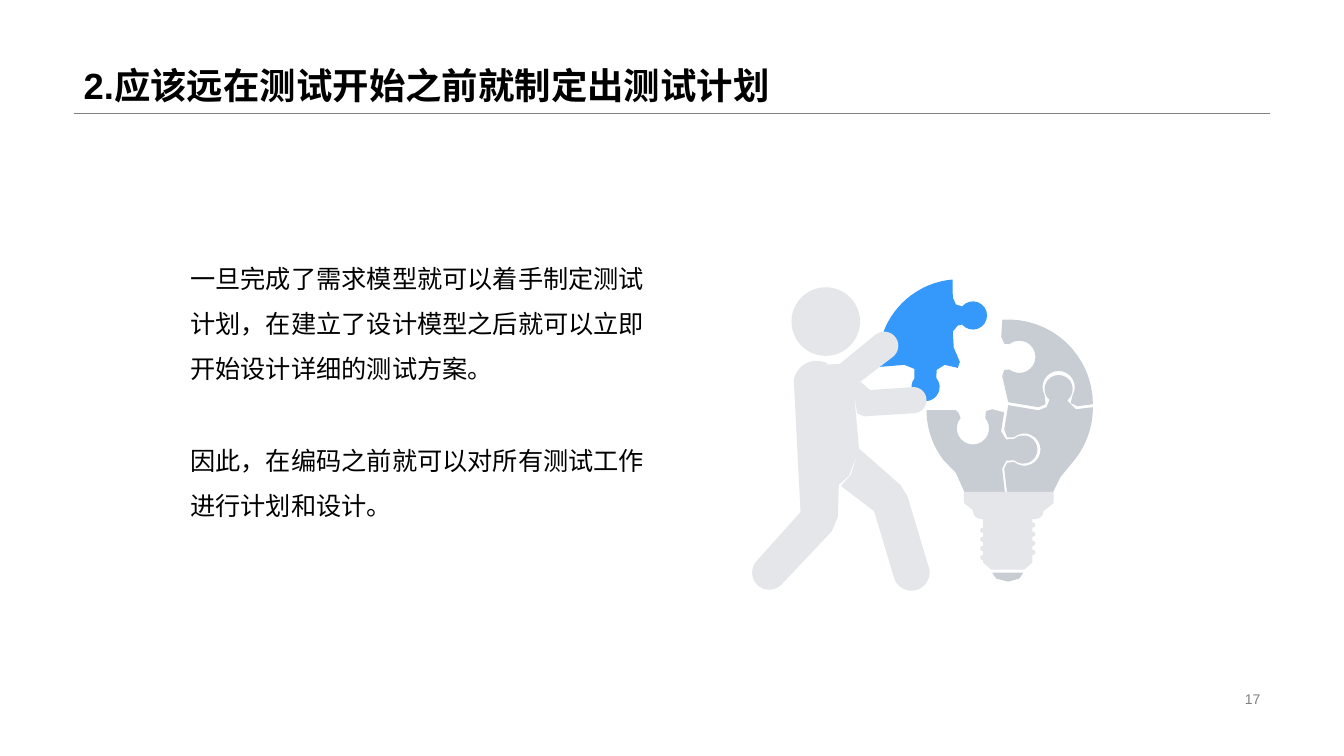
from math import cos, radians, sin

from lxml.etree import SubElement
from pptx import Presentation
from pptx.dml.color import RGBColor
from pptx.enum.shapes import MSO_CONNECTOR, MSO_SHAPE
from pptx.enum.text import MSO_ANCHOR, MSO_AUTO_SIZE, PP_ALIGN
from pptx.oxml.ns import qn
from pptx.util import Inches, Pt

COLORS = {"black": "000000", "rule": "808080", "blue": "3598FB",
          "light": "E4E6EA", "grey": "C8CDD4"}
FONT = "Arial"
KNOB, HOLE = 0.14, 0.16  # radii of the puzzle joints
BULB = 0.84
ARC_STEPS = 16

# Outlines in inches: a pair is a corner, five numbers are an arc
# (centre x, centre y, radius, start angle, end angle; clockwise from the right).
BLUE_PIECE = [
    (9.52, 3.58, 0.81, -95, -159), (8.89, 3.4), (8.87, 3.52), (8.72, 3.64), (8.97, 3.62),
    (9.07, 3.66), (9.07, 3.75), (9.18, 3.84, KNOB, -140, -400), (9.29, 3.67), (9.37, 3.62),
    (9.5, 3.65), (9.52, 3.59), (9.46, 3.45), (9.45, 3.29), (9.5, 3.23),
    (9.65, 3.13, KNOB, 140, -140), (9.48, 3.02), (9.45, 2.95)]
TOP_RIGHT_PIECE = [
    (10, 4.01, BULB, -94, 0), (10.69, 4.03), (10.62, 4), (10.5, 3.84, HOLE, 30, -210),
    (10.37, 4.01), (10.3, 4.04), (10, 3.99), (9.94, 3.73), (9.96, 3.67),
    (10.11, 3.54, HOLE, 128, -128), (9.96, 3.41), (9.93, 3.34)]
BOTTOM_LEFT_PIECE = [
    (9.48, 4.07), (9.51, 4.1), (9.65, 4.25, HOLE, -140, -400), (9.78, 4.08), (9.84, 4.06),
    (9.96, 4.09), (9.93, 4.28), (9.98, 4.36), (10.15, 4.46, KNOB, -130, 130), (9.98, 4.57),
    (9.94, 4.65), (9.97, 4.91), (9.57, 4.89), (9.48, 4.69), (10, 4.07, 0.81, 142, 180)]
BOTTOM_RIGHT_PIECE = [
    (10, 4.02), (9.96, 4.26), (9.99, 4.34), (10.16, 4.46, HOLE, -130, 130), (9.99, 4.59),
    (9.96, 4.65), (9.99, 4.9), (10.44, 4.89), (10.52, 4.73), (10, 4.04, BULB, 38, 0),
    (10.67, 4.06), (10.59, 3.98), (10.5, 3.86, KNOB, 50, -230), (10.38, 4.04), (10.3, 4.07)]
BODY = [
    (8.33, 3.61), (8.77, 3.43, 0.14, -125, 55), (8.49, 3.82), (8.54, 3.79), (8.63, 3.87),
    (9.06, 3.97, 0.13, -90, 90), (8.57, 4.13), (8.5, 4.1), (8.47, 3.89), (8.52, 4.45),
    (8.93, 4.81), (9, 4.92), (9.04, 5.68, 0.18, -15, 165), (8.67, 5.07), (8.34, 4.82),
    (8.44, 4.71), (8.51, 4.49), (8.42, 4.72), (8.32, 4.81), (8.31, 5.13), (8.25, 5.27),
    (7.63, 5.68, 0.17, 45, 225), (7.94, 5.08), (8.1, 3.81, 0.23, 190, 300), (8.15, 3.62)]
SOCKET = [(9.75, 5.07), (9.75, 5.58), (9.83, 5.65), (10.16, 5.65), (10.24, 5.58), (10.24, 5.07)]
COLLAR = [(9.56, 4.88), (10.45, 4.88), (10.45, 4.99), (10.35, 5.07), (9.66, 5.07), (9.56, 4.99)]
TIP = [(9.84, 5.68), (9.88, 5.74), (10, 5.53, 0.24, 62, 118), (10.11, 5.74), (10.15, 5.68)]
TIP = [TIP[0], TIP[1], (10, 5.77), TIP[3], TIP[4]]


def flatten(outline):
    """Return the outline as points in EMU, with each arc cut into short steps."""
    points = []
    for step in outline:
        if len(step) == 2:
            points.append(step)
            continue
        x, y, radius, start, end = step
        for i in range(ARC_STEPS + 1):
            angle = radians(start + (end - start) * i / ARC_STEPS)
            points.append((x + radius * cos(angle), y + radius * sin(angle)))
    return [(Inches(x), Inches(y)) for x, y in points]


def style_text(p, size, color):
    p.font.name, p.font.size = FONT, Pt(size)
    p.font.color.rgb = RGBColor.from_string(COLORS[color])


prs = Presentation()
prs.slide_width, prs.slide_height = Inches(13.33), Inches(7.5)
s = prs.slides.add_slide(prs.slide_layouts[5])

rule = s.shapes.add_connector(MSO_CONNECTOR.STRAIGHT, Inches(0.73), Inches(1.12),
                              Inches(12.6), Inches(1.12))
rule.line.color.rgb = RGBColor.from_string(COLORS["rule"])
rule.line.width = Pt(0.25)
SubElement(rule._element.spPr, qn("a:effectLst"))

title = s.shapes.title
title.left, title.top, title.width, title.height = Inches(0.73), 0, Inches(11.87), Inches(1.12)
tf = title.text_frame
tf.text = "2.应该远在测试开始之前就制定出测试计划"
tf.vertical_anchor, tf.auto_size, tf.word_wrap = MSO_ANCHOR.BOTTOM, MSO_AUTO_SIZE.NONE, True
p = tf.paragraphs[0]
p.alignment, p.line_spacing, p.font.bold = PP_ALIGN.LEFT, 0.9, True
style_text(p, 26, "black")

tf = s.shapes.add_textbox(Inches(9.42), Inches(6.82), Inches(3.18), Inches(0.23)).text_frame
tf.text = "17"
tf.vertical_anchor, tf.word_wrap = MSO_ANCHOR.MIDDLE, True
tf.paragraphs[0].alignment = PP_ALIGN.RIGHT
style_text(tf.paragraphs[0], 10, "rule")

art = s.shapes.add_group_shape().shapes
parts = []
for outline, color in [(BLUE_PIECE, "blue"), (SOCKET, "light"), (BODY, "light"),
                       (TOP_RIGHT_PIECE, "grey"), (BOTTOM_LEFT_PIECE, "grey"),
                       (BOTTOM_RIGHT_PIECE, "grey"), (TIP, "grey"), (COLLAR, "light")]:
    points = flatten(outline)
    builder = art.build_freeform(*points[0])
    builder.add_line_segments(points[1:])
    parts.append((builder.convert_to_shape(), color))

head = art.add_shape(MSO_SHAPE.OVAL, Inches(7.85), Inches(2.85), Inches(0.68), Inches(0.68))
base = art.add_shape(MSO_SHAPE.ROUNDED_RECTANGLE, Inches(9.65), Inches(4.93),
                     Inches(0.7), Inches(0.22))
base.adjustments[0] = 0.36
parts += [(head, "light"), (base, "light")]
for i in range(4):
    thread = art.add_shape(MSO_SHAPE.ROUNDED_RECTANGLE, Inches(9.72), Inches(5.21 + 0.09 * i),
                           Inches(0.55), Inches(0.05))
    thread.adjustments[0], thread.rotation = 0.5, 354.1
    parts.append((thread, "light"))
for part, color in parts:
    part.shadow.inherit = False
    part.fill.solid()
    part.fill.fore_color.rgb = RGBColor.from_string(COLORS[color])
    part.line.fill.background()

tf = s.shapes.add_textbox(Inches(1.79), Inches(2.41), Inches(4.7), Inches(3.45)).text_frame
tf.word_wrap = True
tf.text = ("一旦完成了需求模型就可以着手制定测试计划，在建立了设计模型之后就可以立即开始设计详细的测试方案。\n"
           "因此，在编码之前就可以对所有测试工作进行计划和设计。")
for p in tf.paragraphs:
    p.line_spacing = 1.5
    style_text(p, 18, "black")
tf.paragraphs[1].space_before = Pt(33)

prs.save("out.pptx")
